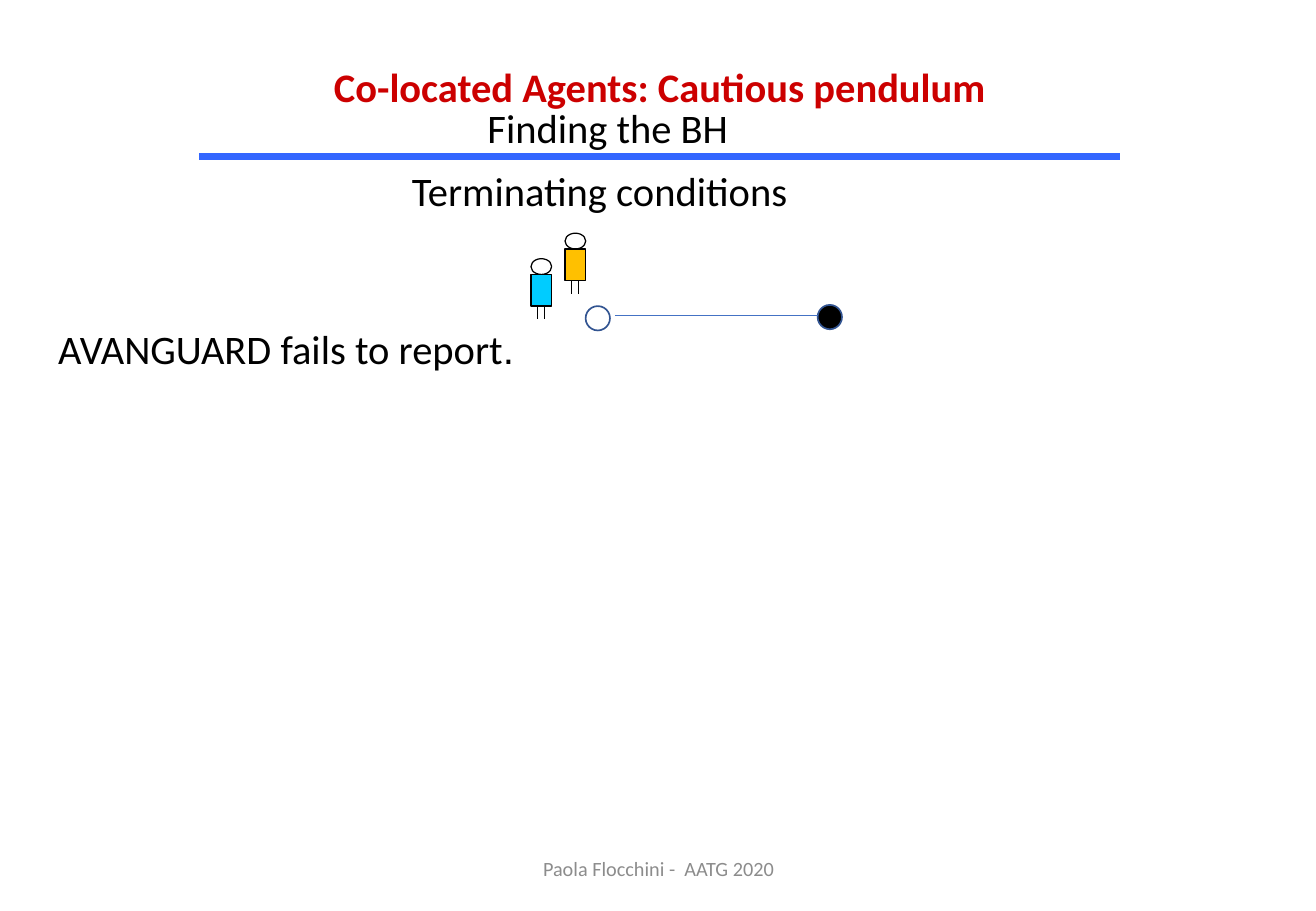
from collections import namedtuple
from lxml.etree import SubElement
from pptx import Presentation
from pptx.dml.color import RGBColor
from pptx.enum.shapes import MSO_CONNECTOR, MSO_SHAPE
from pptx.enum.text import MSO_ANCHOR, MSO_AUTO_SIZE, PP_ALIGN
from pptx.oxml.ns import qn
from pptx.util import Inches, Pt

COLORS = {
    "black": "000000", "white": "FFFFFF", "title": "CC0000", "rule": "3366FF",
    "footer": "8C8C8C", "amber": "FFC000", "cyan": "00CCFF",
    "node_rim": "325491", "edge": "4472C4",
}
WIDTH, HEIGHT = Inches(10.83), Inches(7.5)
COLUMN, ROW = WIDTH / 100, HEIGHT / 100
TEXT_ROWS = 6.67
Box = namedtuple("Box", "left top width height")


def grid(column, row, columns, rows):
    """Return the box that covers the given cells of the 100 by 100 slide grid."""
    return Box(*(round(n) for n in (column * COLUMN, row * ROW, columns * COLUMN, rows * ROW)))


def color(key):
    """Return the palette colour for a key."""
    return RGBColor.from_string(COLORS[key])


def add_outline(shapes, preset, box, line, points, fill=None):
    """Draw a preset shape with a thin line and an optional fill."""
    outline = shapes.add_shape(preset, *(round(n) for n in box))
    outline.shadow.inherit = False
    if fill:
        outline.fill.solid()
        outline.fill.fore_color.rgb = color(fill)
    else:
        outline.fill.background()
    outline.line.color.rgb = color(line)
    outline.line.width = Pt(points)


def add_line(shapes, start, end, line, points):
    """Draw a straight line without a shadow."""
    stroke = shapes.add_connector(MSO_CONNECTOR.STRAIGHT, *(round(n) for n in start + end))
    stroke.line.color.rgb = color(line)
    stroke.line.width = Pt(points)
    SubElement(stroke._element.spPr, qn("a:effectLst"))


def add_text(slide, box, text, ink="black", size=24, bold=False, centred=False, wrap=False):
    """Place one line of Calibri text and return its paragraph."""
    frame = slide.shapes.add_textbox(*box).text_frame
    frame.word_wrap = wrap
    frame.auto_size = MSO_AUTO_SIZE.SHAPE_TO_FIT_TEXT
    sentence = frame.paragraphs[0]
    sentence.add_run().text = text
    sentence.alignment = PP_ALIGN.CENTER if centred else PP_ALIGN.LEFT
    sentence.font.name = "Calibri"
    sentence.font.size = Pt(size)
    sentence.font.bold = bold
    sentence.font.color.rgb = color(ink)
    return sentence


def add_heading(slide, box):
    """Place the title, its subtitle and the rule below them."""
    title = Box(box.left + round(box.width * 0.07), box.top, round(box.width * 0.86), round(TEXT_ROWS * ROW))
    add_text(slide, title, "Co-located Agents: Cautious pendulum", "title",
             bold=True, centred=True, wrap=True)
    subtitle = Box(box.left + round(box.width * 0.3), box.top + round(box.height * 0.41),
                   round(box.width * 0.29), title.height)
    add_text(slide, subtitle, "Finding the BH")
    bottom = box.top + box.height
    add_line(slide.shapes, (box.left, bottom), (box.left + box.width, bottom), "rule", 4)


def add_agent(slide, box, tunic):
    """Draw an agent as a group of head, body and two legs."""
    agent = slide.shapes.add_group_shape().shapes
    neck, hip = box.height * 0.26, box.height * 0.78
    add_outline(agent, MSO_SHAPE.OVAL, Box(box.left, box.top, box.width, neck), "black", 0.75)
    add_outline(agent, MSO_SHAPE.RECTANGLE,
                Box(box.left, box.top + neck, box.width, hip - neck), "black", 0.75, tunic)
    for share in (0.32, 0.65):
        leg = box.left + box.width * share
        add_line(agent, (leg, box.top + hip), (leg, box.top + box.height), "black", 0.75)


def add_link(slide, box):
    """Draw the safe node, the black hole and the edge between them."""
    diameter = box.height
    hole = box.left + box.width - diameter
    for left, drop, fill in ((box.left, 0.05, "white"), (hole, 0, "black")):
        add_outline(slide.shapes, MSO_SHAPE.OVAL,
                    Box(left, box.top + diameter * drop, diameter, diameter), "node_rim", 1, fill)
    level = box.top + diameter * 0.45
    add_line(slide.shapes, (box.left + diameter * 1.2, level), (hole, level), "edge", 0.5)


def add_conditions(slide, heading, condition):
    """Place the section heading and the terminating condition."""
    add_text(slide, heading, "Terminating conditions")
    full_stop = add_text(slide, condition, "AVANGUARD fails to report").add_run()
    full_stop.text = ". "
    full_stop.font.name = "Arial"


def add_footer(slide, box):
    """Place the author and course line."""
    credit = add_text(slide, box, "Paola Flocchini -  AATG 2020", "footer", 12,
                      centred=True, wrap=True)
    credit._parent.auto_size = MSO_AUTO_SIZE.NONE
    credit._parent.vertical_anchor = MSO_ANCHOR.MIDDLE


def build():
    """Build the slide and save the presentation."""
    deck = Presentation()
    deck.slide_width, deck.slide_height = WIDTH, HEIGHT
    slide = deck.slides.add_slide(deck.slide_layouts[6])
    add_footer(slide, grid(33.15, 92.67, 33.8, 5.33))
    add_heading(slide, grid(15.14, 6.13, 70, 11.07))
    add_conditions(slide, grid(30.38, 17.6, 30.75, TEXT_ROWS), grid(3.51, 34.93, 37.4, TEXT_ROWS))
    for column, row, tunic in ((42.94, 25.6, "amber"), (40.35, 28.4, "cyan")):
        add_agent(slide, grid(column, row, 1.57, 6.67), tunic)
    add_link(slide, grid(44.5, 33.47, 19.48, 2.67))
    deck.save("out.pptx")


build()
